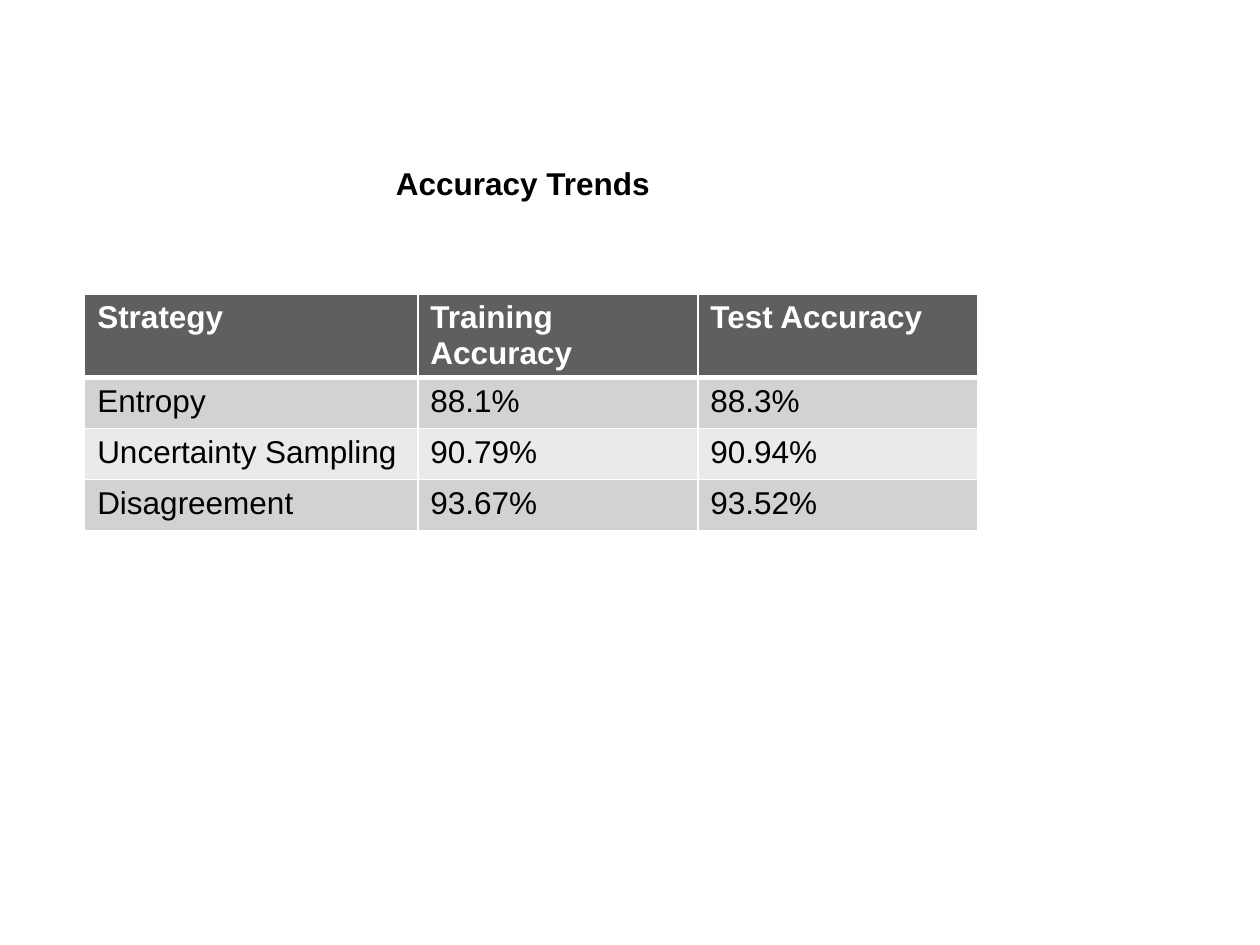
from lxml.etree import SubElement
from pptx import Presentation
from pptx.dml.color import RGBColor
from pptx.enum.text import MSO_ANCHOR, PP_ALIGN
from pptx.oxml.ns import qn
from pptx.util import Pt

HEAD = ["Strategy", "Training Accuracy", "Test Accuracy"]
ROWS = [
    ["Entropy", "88.1%", "88.3%"],
    ["Uncertainty Sampling", "90.79%", "90.94%"],
    ["Disagreement", "93.67%", "93.52%"],
]
WIDTHS = [190.4, 160, 160]
HEIGHT = 29.2
BANDS = ["D2D2D2", "EAEAEA"]


def color(code):
    return RGBColor.from_string(code)


def write(frame, text, size=18, fill="000000", bold=False):
    frame.text = text
    para = frame.paragraphs[0]
    para.alignment = PP_ALIGN.LEFT
    font = para.runs[0].font
    font.name, font.size, font.bold = "Arial", Pt(size), bold
    font.color.rgb = color(fill)


def border(cell, bottom=1):
    props = cell._tc.get_or_add_tcPr()
    widths = {"a:lnL": 1, "a:lnR": 1, "a:lnT": 1, "a:lnB": bottom}
    for spot, (side, width) in enumerate(widths.items()):
        line = SubElement(props, qn(side), w=str(Pt(width)))
        fill = SubElement(line, qn("a:solidFill"))
        SubElement(fill, qn("a:srgbClr"), val="FFFFFF")
        props.insert(spot, line)  # borders come before the fill


def add_title(slide, text):
    title = slide.shapes.title
    title.left, title.top = Pt(219), Pt(90)
    title.width, title.height = Pt(168), Pt(29)
    frame = title.text_frame
    frame.word_wrap = True
    frame.vertical_anchor = MSO_ANCHOR.TOP
    write(frame, text, bold=True)


def add_grid(slide):
    rows = [HEAD] + ROWS
    table = slide.shapes.add_table(
        len(rows), len(HEAD), Pt(48.4), Pt(168),
        Pt(sum(WIDTHS)), Pt(HEIGHT * len(rows))).table
    for col, width in zip(table.columns, WIDTHS):
        col.width = Pt(width)
    for r, row in enumerate(rows):
        table.rows[r].height = Pt(HEIGHT)
        head = r == 0
        for c, text in enumerate(row):
            cell = table.cell(r, c)
            cell.fill.solid()
            cell.fill.fore_color.rgb = color(
                "5F5F5F" if head else BANDS[(r - 1) % 2])
            write(cell.text_frame, text, bold=head,
                  fill="FFFFFF" if head else "000000")
            # The rule under the header is thicker, on both sides of the edge
            border(cell, bottom=3 if head else 1)
            if r == 1:
                cell._tc.tcPr.find(qn("a:lnT")).set("w", str(Pt(3)))


def main():
    deck = Presentation()
    deck.slide_width, deck.slide_height = Pt(720), Pt(540)
    slide = deck.slides.add_slide(deck.slide_layouts[5])
    # Heading
    add_title(slide, "Accuracy Trends")
    # Accuracy by strategy
    add_grid(slide)
    deck.save("out.pptx")


if __name__ == "__main__":
    main()
